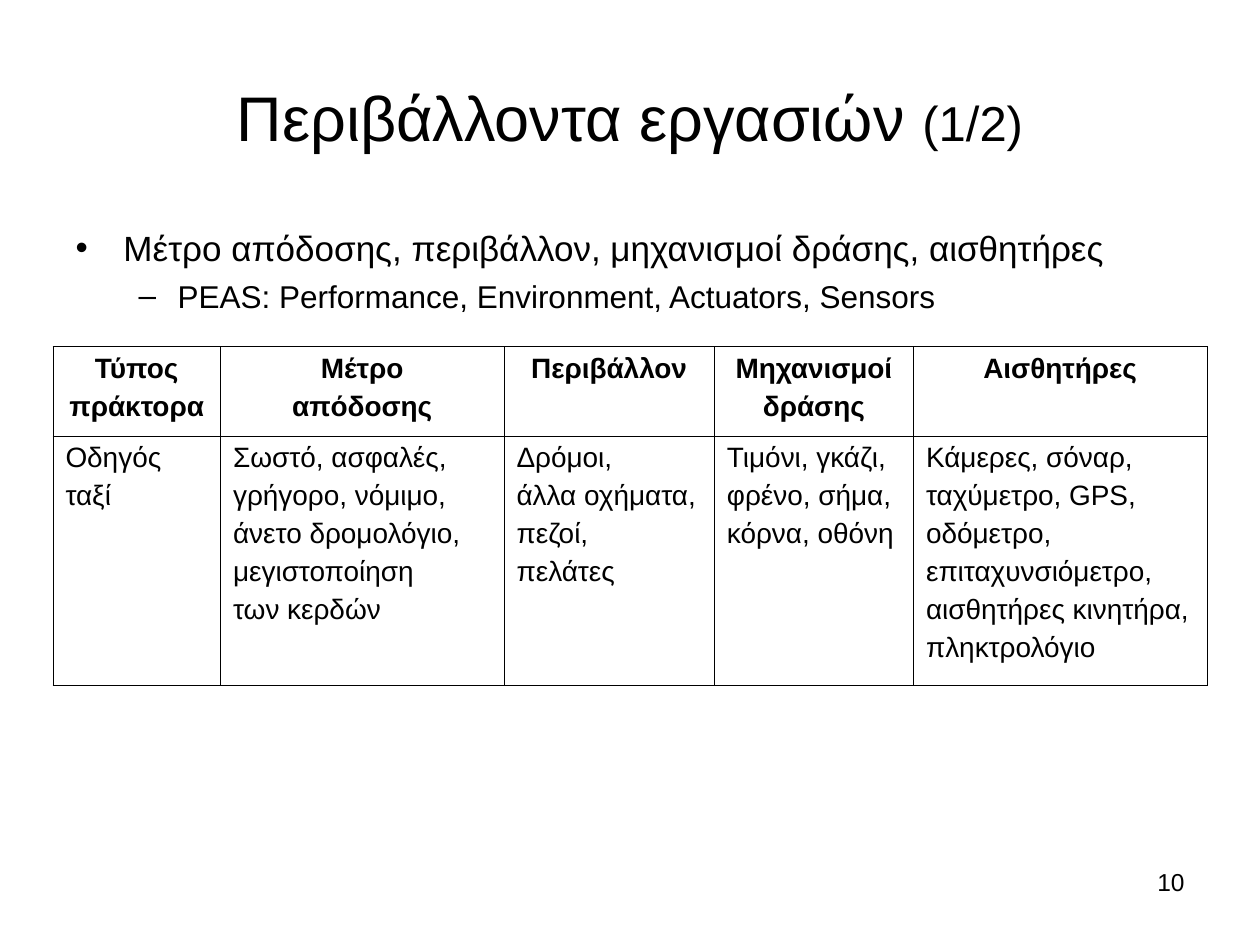
from lxml import etree
from pptx import Presentation
from pptx import util as u
from pptx.dml.color import RGBColor
from pptx.enum import text
from pptx.oxml.ns import qn

COLORS = {"ink": "000000", "paper": "FFFFFF"}
FONT = "Arial"


def write(paragraph, content, size, bold=False, align=text.PP_ALIGN.LEFT,
          before=0, left=0, hanging=0, bullet=None):
    paragraph.alignment = align
    paragraph.space_before = u.Pt(before)
    run = paragraph.add_run()
    run.text = content
    run.font.name = FONT
    run.font.size = u.Pt(size)
    run.font.bold = bold
    run.font.color.rgb = RGBColor.from_string(COLORS["ink"])
    properties = paragraph._p.get_or_add_pPr()
    properties.set("marL", str(u.Inches(left)))
    properties.set("indent", str(-u.Inches(hanging)))
    if bullet:
        etree.SubElement(properties, qn("a:buFont"), typeface=FONT)
        etree.SubElement(properties, qn("a:buChar"), char=bullet)
    elif properties.find(qn("a:buNone")) is None:
        etree.SubElement(properties, qn("a:buNone"))


def add_borders(cell):
    properties = cell._tc.get_or_add_tcPr()
    for position, side in enumerate(("a:lnL", "a:lnR", "a:lnT", "a:lnB")):
        line = etree.Element(qn(side), w=str(u.Pt(0.45)))
        fill = etree.SubElement(line, qn("a:solidFill"))
        etree.SubElement(fill, qn("a:srgbClr"), val=COLORS["ink"])
        properties.insert(position, line)


presentation = Presentation()
presentation.slide_width = u.Inches(10)
presentation.slide_height = u.Inches(7.5)
slide = presentation.slides.add_slide(presentation.slide_layouts[1])

# Title
title = slide.shapes.title
title.left, title.top = u.Inches(0.5), u.Inches(0.3)
title.width, title.height = u.Inches(9), u.Inches(1.25)
title.text_frame.auto_size = text.MSO_AUTO_SIZE.NONE
title.text_frame.vertical_anchor = text.MSO_ANCHOR.MIDDLE
for content, size in (("Περιβάλλοντα εργασιών ", 36), ("(1/2)", 28)):
    write(title.text_frame.paragraphs[0], content, size, align=text.PP_ALIGN.CENTER)

# Bulleted list
body = slide.placeholders[1]
body.left, body.top = u.Inches(0.5), u.Inches(1.75)
body.width, body.height = u.Inches(9.08), u.Inches(4.95)
body.text_frame.auto_size = text.MSO_AUTO_SIZE.NONE
write(body.text_frame.paragraphs[0],
      "Μέτρο απόδοσης, περιβάλλον, μηχανισμοί δράσης, αισθητήρες",
      20, before=5, left=0.38, hanging=0.38, bullet="•")
subpoint = body.text_frame.add_paragraph()
subpoint.level = 1
write(subpoint, "PEAS: Performance, Environment, Actuators, Sensors",
      18, before=4.5, left=0.81, hanging=0.31, bullet="–")

# Table of the task environment, one paragraph per line
rows = [
    [["Τύπος", "πράκτορα"], ["Μέτρο", "απόδοσης"], ["Περιβάλλον"],
     ["Μηχανισμοί", "δράσης"], ["Αισθητήρες"]],
    [["Οδηγός", "ταξί"],
     ["Σωστό, ασφαλές,", "γρήγορο, νόμιμο,", "άνετο δρομολόγιο,",
      "μεγιστοποίηση", "των κερδών"],
     ["Δρόμοι,", "άλλα οχήματα,", "πεζοί,", "πελάτες"],
     ["Τιμόνι, γκάζι,", "φρένο, σήμα,", "κόρνα, οθόνη"],
     ["Κάμερες, σόναρ,", "ταχύμετρο, GPS,", "οδόμετρο,",
      "επιταχυνσιόμετρο,", "αισθητήρες κινητήρα,", "πληκτρολόγιο"]],
]
column_widths = [1.33, 2.25, 1.67, 1.58, 2.33]
row_heights = [0.71, 1.98]
table = slide.shapes.add_table(
    len(rows), len(column_widths), u.Inches(0.42), u.Inches(2.75),
    u.Inches(sum(column_widths)), u.Inches(sum(row_heights))).table
table.horz_banding = False
for column, width in zip(table.columns, column_widths):
    column.width = u.Inches(width)
for row_index, row in enumerate(rows):
    table.rows[row_index].height = u.Inches(row_heights[row_index])
    header = row_index == 0
    for column_index, lines in enumerate(row):
        cell = table.cell(row_index, column_index)
        cell.fill.solid()
        cell.fill.fore_color.rgb = RGBColor.from_string(COLORS["paper"])
        add_borders(cell)
        for line_index, line in enumerate(lines):
            frame = cell.text_frame
            paragraph = frame.add_paragraph() if line_index else frame.paragraphs[0]
            write(paragraph, line, 16, bold=header, before=4, left=0.38, hanging=0.38,
                  align=text.PP_ALIGN.CENTER if header else text.PP_ALIGN.LEFT)

# Page number
page_number = slide.shapes.add_textbox(
    u.Inches(7.17), u.Inches(6.83), u.Inches(2.33), u.Inches(0.52))
page_number.text_frame.word_wrap = True
write(page_number.text_frame.paragraphs[0], "10", 14, align=text.PP_ALIGN.RIGHT)

presentation.save("out.pptx")
